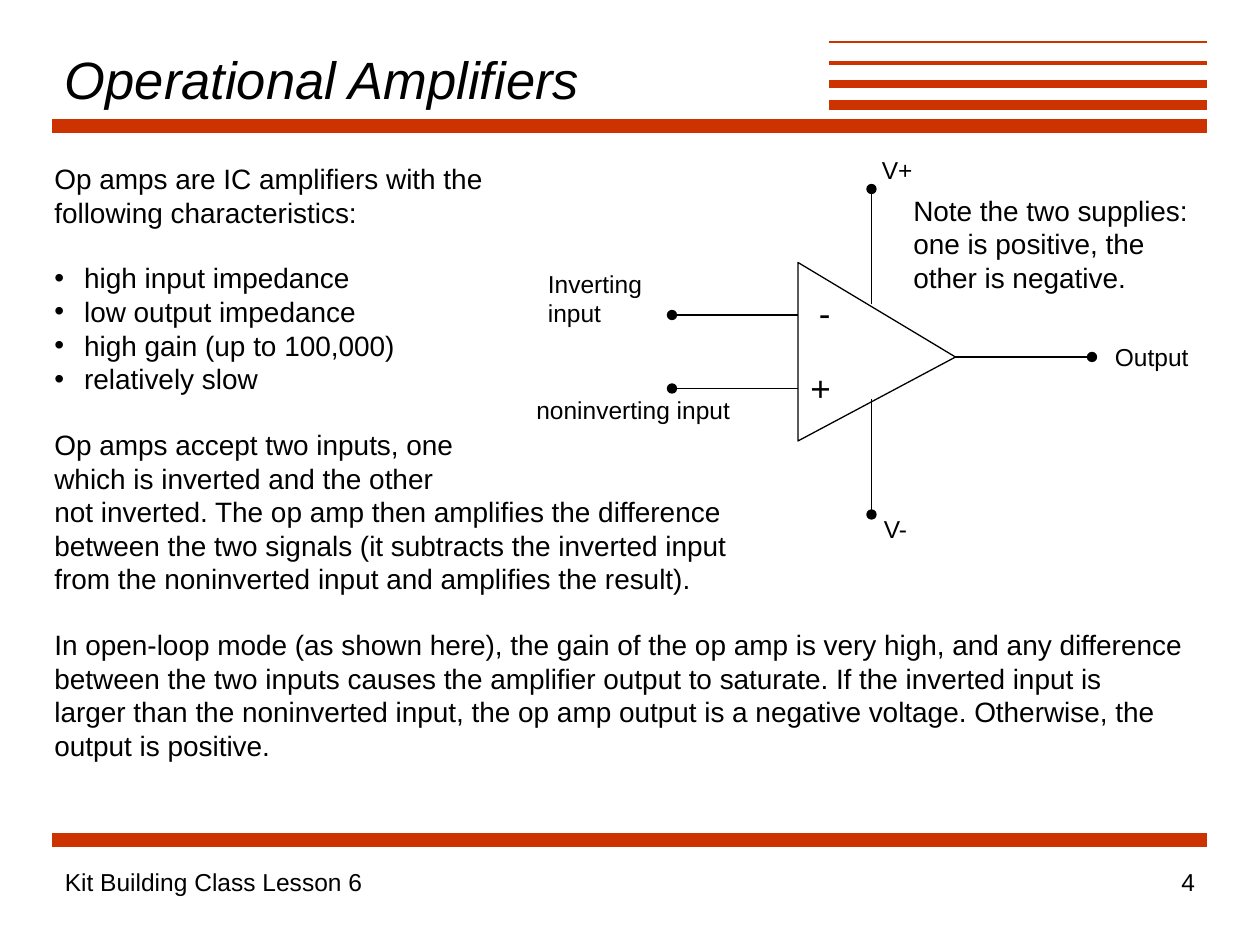
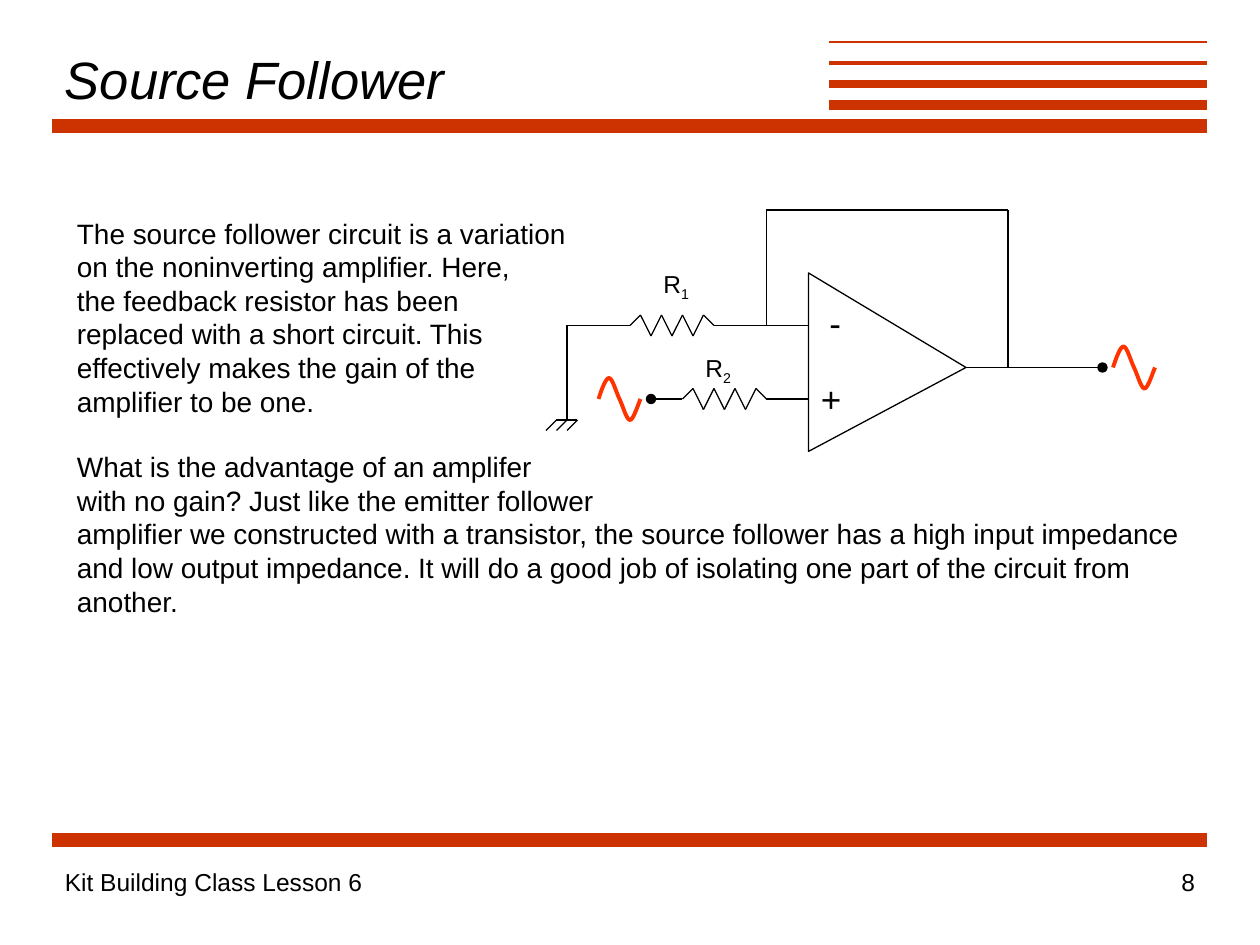
import lxml.etree
import pptx
import pptx.dml.color
import pptx.enum.shapes
import pptx.enum.text
import pptx.oxml.ns
import pptx.util

Cm, Pt = pptx.util.Cm, pptx.util.Pt
qn = pptx.oxml.ns.qn
MSO_SHAPE = pptx.enum.shapes.MSO_SHAPE
ALIGN = pptx.enum.text.PP_ALIGN
ANCHOR = pptx.enum.text.MSO_ANCHOR
AUTO = pptx.enum.text.MSO_AUTO_SIZE

COLORS = {"ink": "000000", "band": "CC3300", "wave": "FF3300"}
FONT = "Arial"
BULLET = "• "          # marks a line to be set as a list item
BLOCK_GAP = 18.4       # one 16 pt line, in points


def grid(n):
    """Length of n grid steps; the slide is 120 by 90 steps."""
    return Cm(n * 2.54 / 12)


def rgb(name):
    return pptx.dml.color.RGBColor.from_string(COLORS[name])


class Deck:
    def __init__(self):
        self.prs = pptx.Presentation()
        self.prs.slide_width, self.prs.slide_height = grid(120), grid(90)
        self.s = None

    # Frame shared by all slides
    def slide(self, title, number):
        self.s = self.prs.slides.add_slide(self.prs.slide_layouts[6])
        for y in (12, 80):
            self.line((5, y), (115, y), "band", 8)
        for y, width in ((10, 6), (8, 4.5), (6, 2.25), (4, 1.5)):
            self.line((79, y), (115, y), "band", width)
        tf = self.text(5, 4, 74, 7, [title], 30, wrap=True)
        tf.vertical_anchor = ANCHOR.MIDDLE
        tf.paragraphs[0].runs[0].font.italic = True
        self.text(5, 82, 83, 6, ["Kit Building Class Lesson 6"], 14, wrap=True)
        tf = self.text(90, 82, 25, 6, [str(number)], 14, wrap=True)
        tf.paragraphs[0].alignment = ALIGN.RIGHT

    # Text
    def text(self, x, y, w, h, lines, size, wrap=False):
        sp = self.s.shapes.add_textbox(grid(x), grid(y), grid(w), grid(h))
        tf = sp.text_frame
        tf.word_wrap = wrap
        tf.auto_size = AUTO.NONE if wrap else AUTO.SHAPE_TO_FIT_TEXT
        for i, line in enumerate(lines):
            p = tf.add_paragraph() if i else tf.paragraphs[0]
            p.text = line.removeprefix(BULLET)
            if line.startswith(BULLET):
                self.bullet(p)
            for r in p.runs:
                self.style(r, size)
        return tf

    def style(self, r, size):
        r.font.name, r.font.size = FONT, Pt(size)
        r.font.color.rgb = rgb("ink")

    def bullet(self, p):
        pPr = p._p.get_or_add_pPr()
        pPr.set("marL", str(Cm(0.6)))
        pPr.set("indent", str(-Cm(0.6)))
        lxml.etree.SubElement(pPr, qn("a:buFont")).set("typeface", FONT)
        lxml.etree.SubElement(pPr, qn("a:buChar")).set("char", BULLET.strip())

    def body(self, x, y, w, h, blocks):
        tf = self.text(x, y, w, h, [line for b in blocks for line in b], 16)
        first = 0
        for block in blocks[:-1]:
            first += len(block)
            tf.paragraphs[first].space_before = Pt(BLOCK_GAP)

    def label(self, x, y, w, text, size=14, sub=None):
        tf = self.text(x, y, w, size * 0.29, [text], size)
        if sub:
            r = tf.paragraphs[0].add_run()
            r.text = sub
            self.style(r, size)
            r.font._element.set("baseline", "-25000")

    # Lines
    def line(self, start, end, color="ink", width=0.75, dot=False, shapes=None):
        ends = [grid(v) for v in (*start, *end)]
        sp = (shapes or self.s.shapes).add_connector(
            pptx.enum.shapes.MSO_CONNECTOR.STRAIGHT, *ends)
        sp.line.color.rgb, sp.line.width = rgb(color), Pt(width)
        if dot:
            tail = lxml.etree.SubElement(sp.line._get_or_add_ln(), qn("a:tailEnd"))
            tail.set("type", "oval")
        lxml.etree.SubElement(sp._element.spPr, qn("a:effectLst"))

    def wire(self, *points, shapes=None):
        for start, end in zip(points, points[1:]):
            self.line(start, end, shapes=shapes)

    def lead(self, start, end):
        self.line(start, end, dot=True)

    # Circuit symbols
    def op_amp(self, x, y):
        """Triangle 15 wide and 17 high, pointing right; x, y is its top left."""
        sp = self.s.shapes.add_shape(MSO_SHAPE.ISOSCELES_TRIANGLE, grid(x - 1),
                                     grid(y + 1), grid(17), grid(15))
        sp.rotation, sp.adjustments[0] = 90, 0.53
        sp.shadow.inherit = False
        sp.fill.background()
        sp.line.color.rgb, sp.line.width = rgb("ink"), Pt(0.75)
        self.label(x, y + 9.35, 4.3, "+", 20)
        self.label(x + 0.8, y + 2.15, 3.5, "-", 20)

    def resistor(self, x, y):
        zigzag = [(x + i, y + (-1 if i % 2 else 1)) for i in range(1, 8)]
        group = self.s.shapes.add_group_shape()
        self.wire((x, y), *zigzag, (x + 8, y), shapes=group.shapes)

    def ground(self, x, y):
        self.wire((x + 1, y), (x - 1, y))
        for i in (-1, 0, 1):
            self.wire((x + i, y), (x + i - 1, y + 1))

    def wave(self, x, y):
        """One sine period, 4 by 4, starting at x, y: Bezier points in threes."""
        curve = [(0, 0), (0.33, -1), (0.7, -2), (1, -2),
                 (1.33, -2), (1.67, -0.67), (2, 0),
                 (2.33, 0.67), (2.67, 2), (3, 2),
                 (3.33, 2), (3.83, 0.33), (4, 0)]
        points = [(grid(x + dx), grid(y + dy)) for dx, dy in curve]
        fb = self.s.shapes.build_freeform(*points[0])
        fb.add_line_segments(points[1:], close=False)
        sp = fb.convert_to_shape()
        segments = list(sp._element.iter(qn("a:lnTo")))
        outline = segments[0].getparent()
        for i in range(0, len(segments), 3):
            bezier = lxml.etree.SubElement(outline, qn("a:cubicBezTo"))
            for segment in segments[i:i + 3]:
                bezier.append(segment[0])
                outline.remove(segment)
        sp.shadow.inherit = False
        sp.fill.background()
        sp.line.color.rgb, sp.line.width = rgb("wave"), Pt(2.25)


deck = Deck()

# Operational amplifiers
deck.slide("Operational Amplifiers", 4)
deck.op_amp(76, 25)
for start, end in (((76, 30), (64, 30)), ((76, 37), (64, 37)),
                   ((83, 38), (83, 49)), ((83, 29), (83, 18)),
                   ((91, 34), (104, 34))):
    deck.lead(start, end)
for x, y, w, name in ((49.9, 37, 20.9, "noninverting input"),
                      (82.8, 14.15, 5.3, "V+"), (83, 48.35, 4.7, "V-"),
                      (105, 32, 9.4, "Output"), (51, 25, 17, "Inverting input")):
    deck.label(x, y, w, name)
deck.body(4, 14.8, 109.9, 58.8, [
    ["Op amps are IC amplifiers with the",
     "following characteristics:"],
    [BULLET + "high input impedance",
     BULLET + "low output impedance",
     BULLET + "high gain (up to 100,000)",
     BULLET + "relatively slow"],
    ["Op amps accept two inputs, one",
     "which is inverted and the other",
     "not inverted. The op amp then amplifies the difference",
     "between the two signals (it subtracts the inverted input",
     "from the noninverted input and amplifies the result)."],
    ["In open-loop mode (as shown here), the gain of the op amp is very high, "
     "and any difference",
     "between the two inputs causes the amplifier output to saturate. "
     "If the inverted input is",
     "larger than the noninverted input, the op amp output is a negative "
     "voltage. Otherwise, the",
     "output is positive."]])
deck.body(85.8, 17.8, 28.6, 10.8, [
    ["Note the two supplies:", "one is positive, the", "other is negative."]])

# Source follower
deck.slide("Source Follower", 8)
deck.op_amp(77, 26)
deck.lead((92, 35), (105, 35))
deck.wire((96, 35), (96, 20), (73, 20), (73, 31))   # feedback loop
deck.wire((77, 31), (68, 31))                       # inverting input
deck.resistor(60, 31)
deck.wire((60, 31), (54, 31), (54, 40))
deck.ground(54, 40)
deck.wire((77, 38), (73, 38))                       # noninverting input
deck.resistor(65, 38)
deck.lead((65, 38), (62, 38))
deck.wave(57, 38)
deck.wave(106, 35)
deck.label(62, 25, 4.9, "R", sub="1")
deck.label(66, 33, 4.9, "R", sub="2")
deck.body(6.15, 20, 107.5, 39.6, [
    ["The source follower circuit is a variation",
     "on the noninverting amplifier. Here,",
     "the feedback resistor has been",
     "replaced with a short circuit. This",
     "effectively makes the gain of the",
     "amplifier to be one."],
    ["What is the advantage of an amplifer",
     "with no gain? Just like the emitter follower",
     "amplifier we constructed with a transistor, the source follower has a "
     "high input impedance",
     "and low output impedance. It will do a good job of isolating one part "
     "of the circuit from",
     "another."]])

deck.prs.save("out.pptx")
